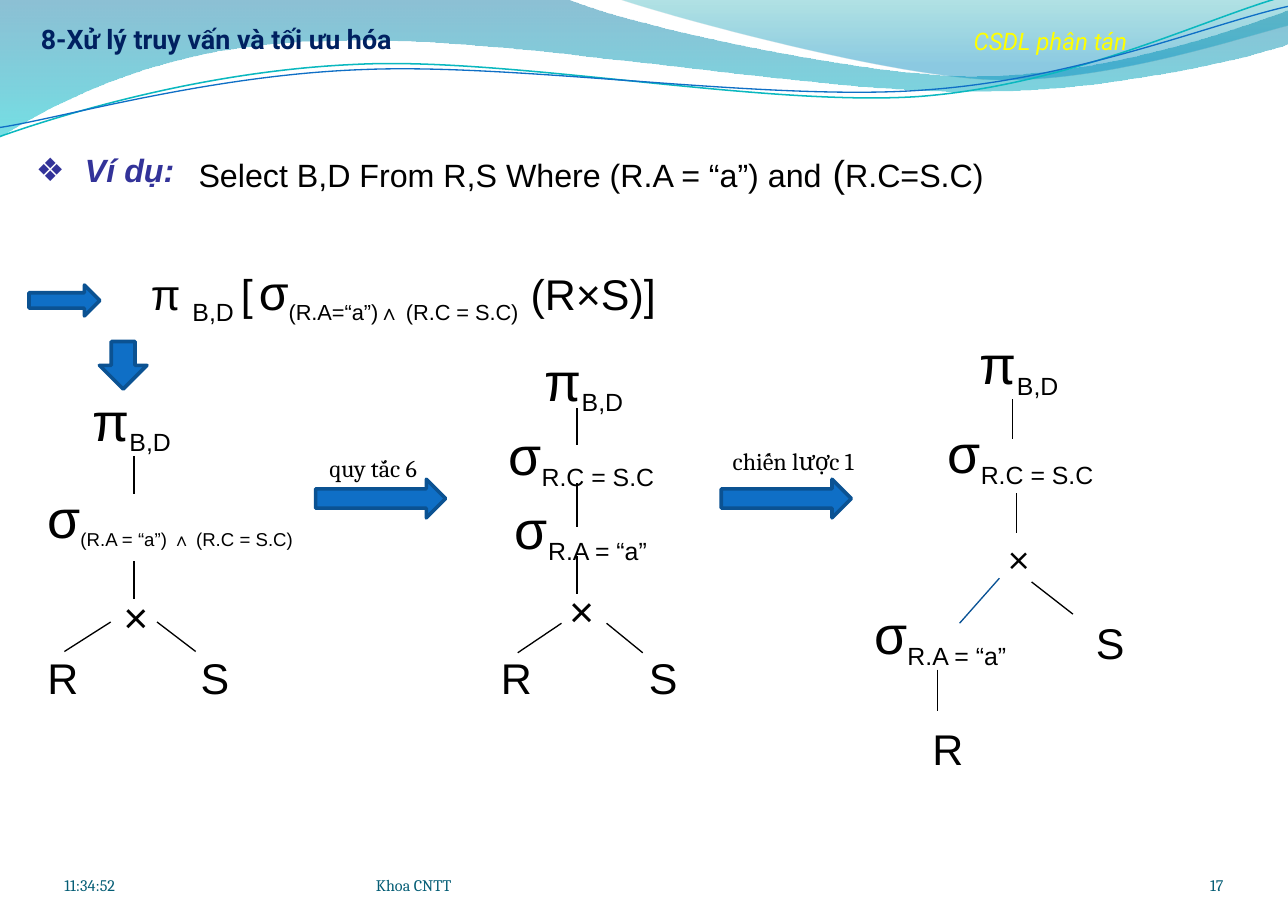
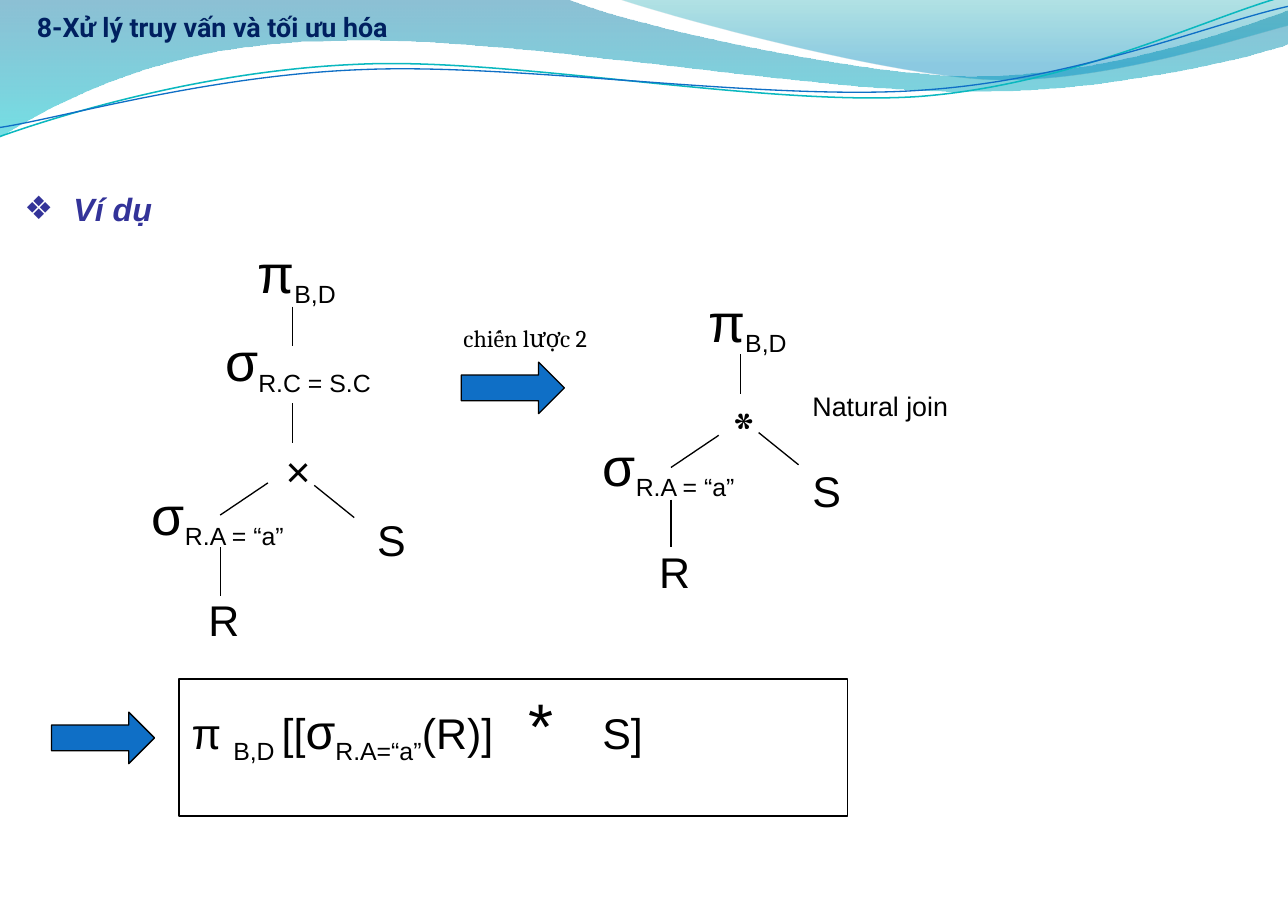
from dataclasses import dataclass

from lxml.etree import SubElement
from pptx import Presentation
from pptx.dml.color import RGBColor
from pptx.enum.shapes import MSO_CONNECTOR, MSO_SHAPE
from pptx.enum.text import MSO_ANCHOR as Anchor, MSO_AUTO_SIZE as AutoSize, PP_ALIGN as Align
from pptx.oxml.ns import qn
from pptx.util import Pt

WIDTH, HEIGHT = 720, 510.5
COLORS = {
    "ink": "000000", "heading": "002060", "topic": "333399", "course": "FFFF00",
    "footer": "045D75", "arrow": "0F6FC6", "arrow_edge": "0B5292", "branch": "095295",
    "deep": "0074A1", "aqua": "00C6CF", "teal": "00A1A9", "sky": "008BBF", "thread": "0AB8BF",
}


@dataclass(frozen=True)
class Span:
    text: str
    size: float
    font: str = "Arial"
    color: str = "ink"
    sub: bool = False
    bold: bool = False
    italic: bool = False


@dataclass(frozen=True)
class Label:
    width: float
    height: float
    spans: tuple[Span, ...]


@dataclass(frozen=True)
class Node:
    label: str
    left: float
    top: float


@dataclass(frozen=True)
class Edge:
    x1: float
    y1: float
    x2: float
    y2: float
    color: str = "ink"


@dataclass(frozen=True)
class Arrow:
    left: float
    top: float
    width: float
    height: float
    shape: MSO_SHAPE = MSO_SHAPE.RIGHT_ARROW
    edge: str = "arrow_edge"
    weight: float = 2


@dataclass(frozen=True)
class Wave:
    start: tuple
    segments: tuple
    line: str = ""
    weight: float = 0
    stops: tuple = ()


def stem(x: float, top: float, bottom: float) -> Edge:
    """Return a vertical edge."""
    return Edge(x, top, x, bottom)


def operator(symbol: str, condition: str, width: float, size: float = 24) -> Label:
    """Return a relational operator with its subscript."""
    return Label(width, 43.9, (Span(symbol, 30), Span(condition, size, sub=True)))


def letter(text: str, width: float, font: str = "Arial") -> Label:
    """Return a one-letter label."""
    return Label(width, 36, (Span(text, 24, font),))


LABELS = {
    "project": operator("π", "B,D", 58.3),
    "both": operator("σ", "(R.A = “a”) ∧ (R.C = S.C)", 166.3, 18),
    "filter": operator("σ", "R.A = “a”", 97.2),
    "match": operator("σ", "R.C = S.C", 105.8),
    "product": letter("×", 28.1),
    "product_serif": letter("×", 28.1, "Cambria"),
    "R": letter("R", 32.4),
    "S": letter("S", 31),
    "join": Label(28.8, 47.5, (Span("*", 33, "Cambria"),)),
    "join_name": Label(91.4, 25.2, (Span("Natural join", 15),)),
}

WAVES = (
    Wave((0, 0), ((316.8, -0.7), (342.7, 11.5, 478.1, 42.5, 545.8, 42.5),
                  (614.2, 42.5, 689.8, 17.3, 720, 5.8), (720.7, 24.5),
                  (707.8, 29.5, 626.4, 51.8, 537.1, 51.1), (447.8, 51.1, 275, 18.7, 185, 23),
                  (92.9, 23.8, 33.1, 56.2, -0.7, 77), (0, 0)),
         stops=((0, "deep", 45), (1, "aqua", 55))),
    Wave((344.9, -0.7), ((366.5, 7.2, 491, 41.8, 553.7, 44.6),
                         (616.3, 46.8, 691.9, 21.6, 720, 14.4), (720, 0), (344.9, -0.7)),
         stops=((0, "teal", 30), (0.8, "sky", 45))),
    Wave((0, 76.3), ((34.6, 64.1, 113.8, 39.6, 199.4, 36), (284.4, 31.7, 426.2, 59.8, 513.4, 54),
                     (599.8, 47.5, 675.4, 9.4, 718.6, -2.2)), "thread", 0.85),
    Wave((0, 71.3), ((33.8, 66.2, 118.1, 41.8, 203.8, 38.9), (290.2, 35.3, 429.8, 56.9, 516.2, 50.4),
                     (601.9, 44.6, 677.5, 13, 720, 3.6)), "arrow", 0.75),
)

FIRST_NODES = (
    Node("project", 44.6, 213.1), Node("both", 19.4, 267.8), Node("product", 61.9, 326.9),
    Node("R", 19.4, 360.7), Node("S", 105.1, 360.7),
    Node("project", 297.4, 190.8), Node("match", 277.2, 232.6), Node("filter", 280.8, 273.6),
    Node("product", 311, 323.3), Node("R", 272.9, 360.7), Node("S", 355.7, 360.7),
    Node("project", 540.7, 181.4), Node("match", 522.7, 231.1), Node("product_serif", 555.8, 293),
    Node("filter", 481.7, 332.6), Node("R", 514.1, 400.3), Node("S", 605.5, 341.3),
)
FIRST_EDGES = (
    stem(74.9, 254.9, 276.5), stem(74.9, 313.9, 334.8),
    Edge(61.9, 347.8, 36, 364.3), Edge(87.8, 347.8, 109.4, 364.3),
    stem(322.6, 228.2, 249.1), stem(322.6, 270, 294.5), stem(322.6, 311, 331.9),
    Edge(313.9, 348.5, 289.4, 365), Edge(339.1, 348.5, 359.3, 365),
    stem(565.9, 223.2, 245.5), stem(568.1, 275.8, 298.1), stem(524.2, 374.4, 397.4),
    Edge(558.7, 323.3, 536.4, 348.5, "branch"), Edge(576.7, 325.4, 599.8, 343.4),
)
FIRST_ARROWS = (
    Arrow(16.2, 159.4, 39.6, 17.3), Arrow(55.6, 191, 26.6, 26.6, MSO_SHAPE.DOWN_ARROW),
    Arrow(176.4, 268, 72.7, 21.6), Arrow(403.2, 268, 72.7, 21.6),
)
SECOND_NODES = (
    Node("project", 136.8, 130.3), Node("match", 118.8, 180), Node("product", 152.6, 244.8),
    Node("filter", 77.8, 265.7), Node("R", 109.4, 328.3), Node("S", 203.8, 283.7),
    Node("project", 388.8, 157.7), Node("join", 401.8, 216.7), Node("join_name", 447.1, 214.6),
    Node("filter", 329.8, 238.3), Node("R", 361.4, 301.7), Node("S", 447.1, 256.3),
)
SECOND_EDGES = (
    stem(163.4, 171.4, 193.7), stem(163.4, 225.4, 247.7), stem(123.1, 306, 333.4),
    Edge(149.8, 270, 123.1, 288), Edge(175.7, 271.4, 198, 289.4),
    stem(414, 198, 220.3), stem(375.1, 279.4, 306),
    Edge(401.8, 243.4, 375.1, 261.4), Edge(424.1, 241.9, 446.4, 259.9),
)
SECOND_ARROWS = tuple(Arrow(left, top, 57.6, 28.8, edge="ink", weight=0.75)
                      for left, top in ((257.9, 202.5), (28.8, 398.2)))


def rgb(name: str) -> RGBColor:
    """Look up a palette colour."""
    return RGBColor.from_string(COLORS[name])


def place(box, left: float, top: float, width: float, height: float) -> None:
    """Move and size a shape."""
    box.left, box.top, box.width, box.height = Pt(left), Pt(top), Pt(width), Pt(height)


def write(box, spans, wrap=True, fit=AutoSize.SHAPE_TO_FIT_TEXT, anchor=Anchor.TOP,
          margins=(7.2, 3.6), align=Align.LEFT, before=0):
    """Fill one paragraph run by run and return it."""
    frame = box.text_frame
    frame.auto_size, frame.word_wrap, frame.vertical_anchor = fit, wrap, anchor
    frame.margin_left = frame.margin_right = Pt(margins[0])
    frame.margin_top = frame.margin_bottom = Pt(margins[1])
    para = frame.paragraphs[0]
    para.alignment, para.space_before = align, Pt(before)
    for span in spans:
        run = para.add_run()
        run.text = span.text
        font = run.font
        font.name, font.size, font.bold, font.italic = span.font, Pt(span.size), span.bold, span.italic
        font.color.rgb = rgb(span.color)
        if span.sub:
            run._r.get_or_add_rPr().set("baseline", "-25000")
    return para


def add_text(page, left: float, top: float, width: float, height: float, *spans: Span, **style):
    """Add a text box."""
    box = page.shapes.add_textbox(Pt(left), Pt(top), Pt(width), Pt(height))
    return write(box, spans, **style)


def bend(shape, segments: tuple) -> None:
    """Turn the straight sides that have control points into Bezier curves."""
    sides = list(shape.element.iter(qn("a:lnTo")))
    for side, segment in zip(sides, segments):
        if len(segment) == 6:
            curve = SubElement(side.getparent(), qn("a:cubicBezTo"))
            for x, y in zip(segment[::2], segment[1::2]):
                SubElement(curve, qn("a:pt"), x=str(Pt(x) - shape.left), y=str(Pt(y) - shape.top))
            side.getparent().replace(side, curve)


def add_wave(page, wave: Wave):
    """Draw a gradient band or a thin curve."""
    builder = page.shapes.build_freeform(*map(Pt, wave.start), scale=1.0)
    corners = [tuple(map(Pt, segment[-2:])) for segment in wave.segments]
    builder.add_line_segments(corners, close=bool(wave.stops))
    shape = builder.convert_to_shape()
    bend(shape, wave.segments)
    shape.shadow.inherit = False
    if wave.stops:
        shape.fill.gradient()
        shape.fill.gradient_angle = 270
        for stop, (position, color, _) in zip(shape.fill.gradient_stops, wave.stops):
            stop.position, stop.color.rgb = position, rgb(color)
        for tint, (_, _, opacity) in zip(shape.element.iter(qn("a:srgbClr")), wave.stops):
            SubElement(tint, qn("a:alpha"), val=str(opacity * 1000))
        shape.line.fill.background()
    else:
        shape.fill.background()
        shape.line.color.rgb, shape.line.width = rgb(wave.line), Pt(wave.weight)
    return shape


def add_edge(page, edge: Edge) -> None:
    """Draw a tree branch."""
    link = page.shapes.add_connector(MSO_CONNECTOR.STRAIGHT, Pt(edge.x1), Pt(edge.y1),
                                     Pt(edge.x2), Pt(edge.y2))
    link.line.color.rgb, link.line.width = rgb(edge.color), Pt(0.75)
    SubElement(link.element.spPr, qn("a:effectLst"))


def add_arrow(page, arrow: Arrow) -> None:
    """Draw a block arrow."""
    shape = page.shapes.add_shape(arrow.shape, Pt(arrow.left), Pt(arrow.top),
                                  Pt(arrow.width), Pt(arrow.height))
    shape.shadow.inherit = False
    shape.fill.solid()
    shape.fill.fore_color.rgb = rgb("arrow")
    shape.line.color.rgb, shape.line.width = rgb(arrow.edge), Pt(arrow.weight)


def add_trees(page, nodes, edges, arrows) -> None:
    """Draw query trees and the arrows between them."""
    for edge in edges:
        add_edge(page, edge)
    for arrow in arrows:
        add_arrow(page, arrow)
    for node in nodes:
        label = LABELS[node.label]
        add_text(page, node.left, node.top, label.width, label.height, *label.spans, wrap=False)


def add_heading(page, left: float, top: float) -> None:
    """Fill the title placeholder."""
    title = page.shapes.title
    place(title, left, top, 241.9, 25.2)
    write(title, [Span("8-Xử lý truy vấn và tối ưu hóa", 15, "Roboto", "heading", bold=True)],
          wrap=False, align=Align.CENTER)


def add_topic(page, text: str, left: float, top: float) -> None:
    """Fill the body placeholder with a bulleted topic."""
    body = page.placeholders[1]
    place(body, left, top, 465.8, 32.4)
    para = write(body, [Span(text, 18, color="topic", bold=True, italic=True)],
                 fit=AutoSize.NONE, anchor=Anchor.BOTTOM, margins=(5, 2.9))
    props = para._p.get_or_add_pPr()
    props.set("marL", str(Pt(27.4)))
    props.set("indent", str(-Pt(27.4)))
    SubElement(props, qn("a:buFont"), typeface="Arial")
    SubElement(props, qn("a:buChar"), char="❖")


def add_caption(page, text: str, left: float, top: float, width: float) -> None:
    """Name the step above an arrow."""
    add_text(page, left, top, width, 23.8, Span(text, 13.5, "Cambria"))


def build_first(page) -> None:
    """Build the slide that applies rule 6 and strategy 1."""
    add_heading(page, 0, 9.2)
    add_topic(page, "Ví dụ:", 15.1, 76.3)
    for text, left, width, align in (("17", 624.2, 59.8, Align.RIGHT),
                                     ("Khoa CNTT", 210.2, 264.2, Align.LEFT),
                                     ("11:34:52", 36, 167.8, Align.LEFT)):
        add_text(page, left, 473, width, 27.4, Span(text, 9, "Cambria", "footer"),
                 fit=AutoSize.NONE, anchor=Anchor.BOTTOM, margins=(0, 0), align=align)
    add_text(page, 537.2, 11, 183.6, 23.8,
             Span("CSDL phân tán", 13.5, "Roboto", "course", italic=True))
    add_text(page, 103.9, 80.1, 473.8, 32.4, Span("Select B,D From R,S Where (R.A = “a”) and", 18),
             Span(" (", 21), Span("R.C=S.C)", 18))
    add_text(page, 70.6, 143.3, 337.7, 49.7, Span(" π ", 24), Span("B,D ", 24, sub=True),
             Span("[", 24), Span(" ", 12), Span("σ", 27), Span("(R.A=“a”)∧ (R.C = S.C)", 21, sub=True),
             Span(" (R×S)]", 24), fit=AutoSize.NONE, before=4.8)
    add_trees(page, FIRST_NODES, FIRST_EDGES, FIRST_ARROWS)
    add_caption(page, "quy tắc 6", 177.1, 249.8, 67)
    add_caption(page, "chiến lược 1", 402.5, 246.2, 85.7)


def build_second(page) -> None:
    """Build the slide that applies strategy 2."""
    add_heading(page, -2.2, 2.2)
    add_topic(page, "Ví dụ", 8.6, 97.7)
    result = page.shapes.add_shape(MSO_SHAPE.RECTANGLE, Pt(100.1), Pt(379.7), Pt(373.7), Pt(76.5))
    result.shadow.inherit = False
    result.fill.background()
    result.line.color.rgb, result.line.width = rgb("ink"), Pt(0.75)
    para = write(result, [Span("π ", 24), Span("B,D ", 24, sub=True), Span("[[", 24), Span("σ", 27),
                          Span("R.A=“a”", 24, sub=True), Span("(R)]\t", 24), Span("*", 36),
                          Span("\tS]", 24)], fit=AutoSize.NONE, before=4.8)
    tabs = SubElement(para._p.get_or_add_pPr(), qn("a:tabLst"))
    for position in (188.5, 229.5):
        SubElement(tabs, qn("a:tab"), pos=str(Pt(position)), algn="l")
    add_trees(page, SECOND_NODES, SECOND_EDGES, SECOND_ARROWS)
    add_caption(page, "chiến lược 2", 252, 177.1, 87.8)


def main() -> None:
    """Build and save the deck."""
    deck = Presentation()
    deck.slide_width, deck.slide_height = Pt(WIDTH), Pt(HEIGHT)
    layout = deck.slide_layouts[1]
    first, second = deck.slides.add_slide(layout), deck.slides.add_slide(layout)
    for wave in WAVES:
        layout.shapes.element.append(add_wave(first, wave).element)
    build_first(first)
    build_second(second)
    deck.save("out.pptx")


if __name__ == "__main__":
    main()
